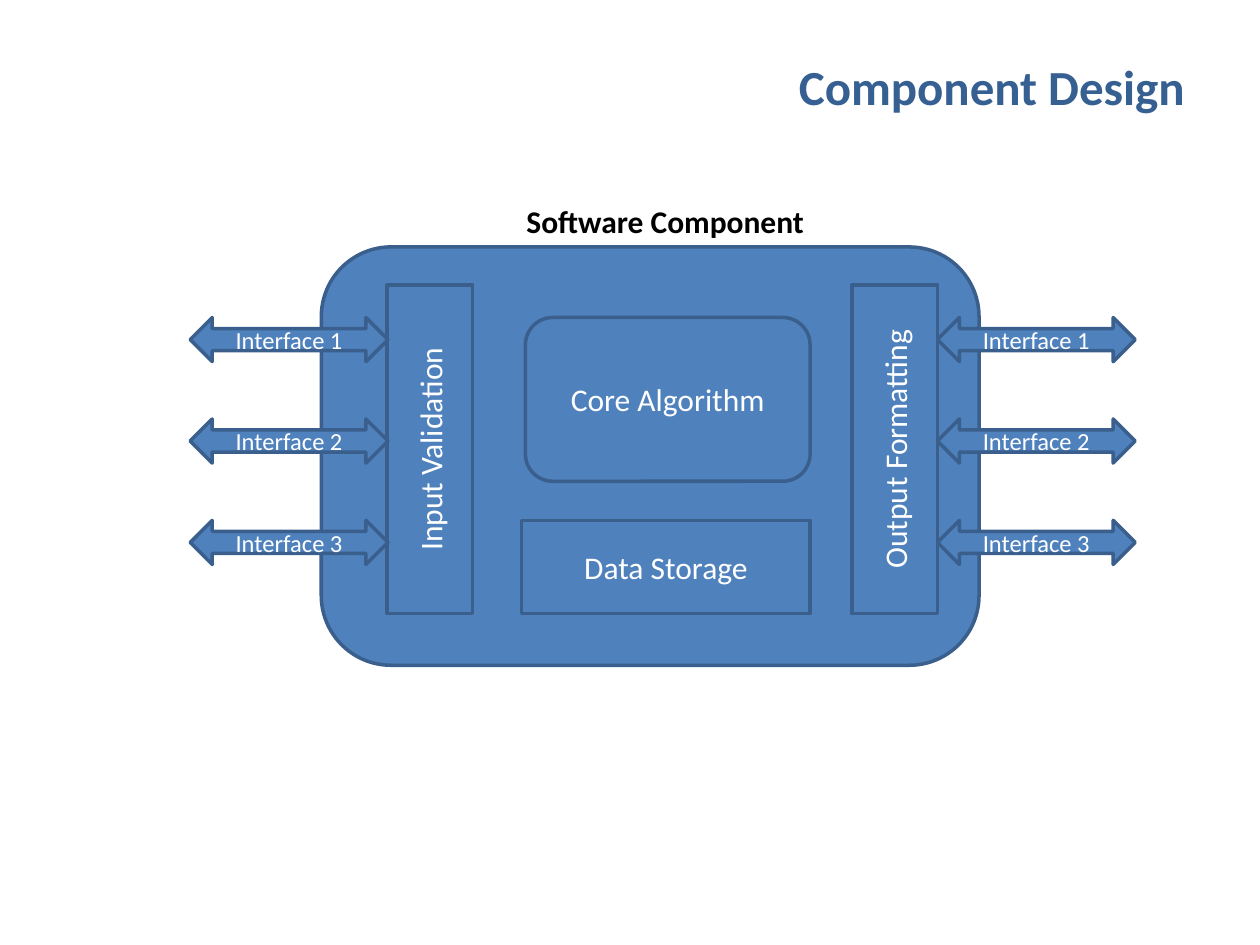
from pptx import Presentation, util as u
from pptx.dml.color import RGBColor
from pptx.enum import shapes, text

COLS, ROWS = 100, 75
COLORS = {"fill": "4F81BD", "edge": "3A5F8C", "title": "376092",
          "light": "FFFFFF", "dark": "000000"}
KINDS = shapes.MSO_SHAPE
ALIGN = text.PP_ALIGN

prs = Presentation()
prs.slide_width, prs.slide_height = u.Inches(10), u.Inches(7.5)
slide = prs.slides.add_slide(prs.slide_layouts[6])


def grid(col, row, cols, rows):
    cw, rh = prs.slide_width / COLS, prs.slide_height / ROWS
    return [round(v) for v in (col * cw, row * rh, cols * cw, rows * rh)]


def rgb(name):
    return RGBColor.from_string(COLORS[name])


def write(s, words, size, color="light", align=ALIGN.CENTER, bold=False, wrap=True):
    tf = s.text_frame
    tf.word_wrap = wrap
    tf.vertical_anchor = text.MSO_ANCHOR.MIDDLE
    p = tf.paragraphs[0]
    p.alignment = align
    r = p.add_run()
    r.text = words
    for key, value in {"name": "Calibri", "size": u.Pt(size), "bold": bold}.items():
        setattr(r.font, key, value)
    r.font.color.rgb = rgb(color)


def block(kind, box, words="", size=18, filled=True, upright=False):
    s = slide.shapes.add_shape(kind, *grid(*box))
    s.shadow.inherit = False
    if filled:
        s.fill.solid()
        s.fill.fore_color.rgb = rgb("fill")
    else:
        s.fill.background()
    s.line.color.rgb = rgb("edge")
    s.line.width = u.Pt(2)
    if words:
        write(s, words, size)
    if upright:
        s.element.txBody.bodyPr.set("vert", "vert270")


def label(box, words, size, color, align, wrap):
    s = slide.shapes.add_textbox(*grid(*box))
    write(s, words, size, color, align, True, wrap)


def component(col, row, cols, rows):
    block(KINDS.ROUNDED_RECTANGLE, (col, row, cols, rows))
    margin, panel_w = 5.2, 6.8
    panels = {"Input Validation": col + margin,
              "Output Formatting": col + 42.1}
    for words, left in panels.items():
        block(KINDS.RECTANGLE, (left, row + 3, panel_w, 26.1), words,
              filled=False, upright=True)
    block(KINDS.RECTANGLE, (col + 15.9, row + 21.7, 22.9, 7.4), "Data Storage")
    block(KINDS.ROUNDED_RECTANGLE, (col + 16.2, row + 5.6, 22.6, 13), "Core Algorithm")
    label((col + 15.3, row - 4.1, 24.3, 4), "Software Component", 18, "dark",
          ALIGN.LEFT, False)


def interfaces(col, row, cols, rows, count=3, arrow_h=3.5):
    step = (rows - arrow_h) / (count - 1)
    for i in range(count):
        block(KINDS.LEFT_RIGHT_ARROW, (col, row + i * step, cols, arrow_h),
              f"Interface {i + 1}", 14)


component(25.5, 19.6, 52.2, 33.2)
for side in (15.1, 74.4):
    interfaces(side, 25.2, 15.7, 19.6)
label((16.1, 3.8, 78.9, 6.1), "Component Design", 28, "title", ALIGN.RIGHT, True)

prs.save("out.pptx")
